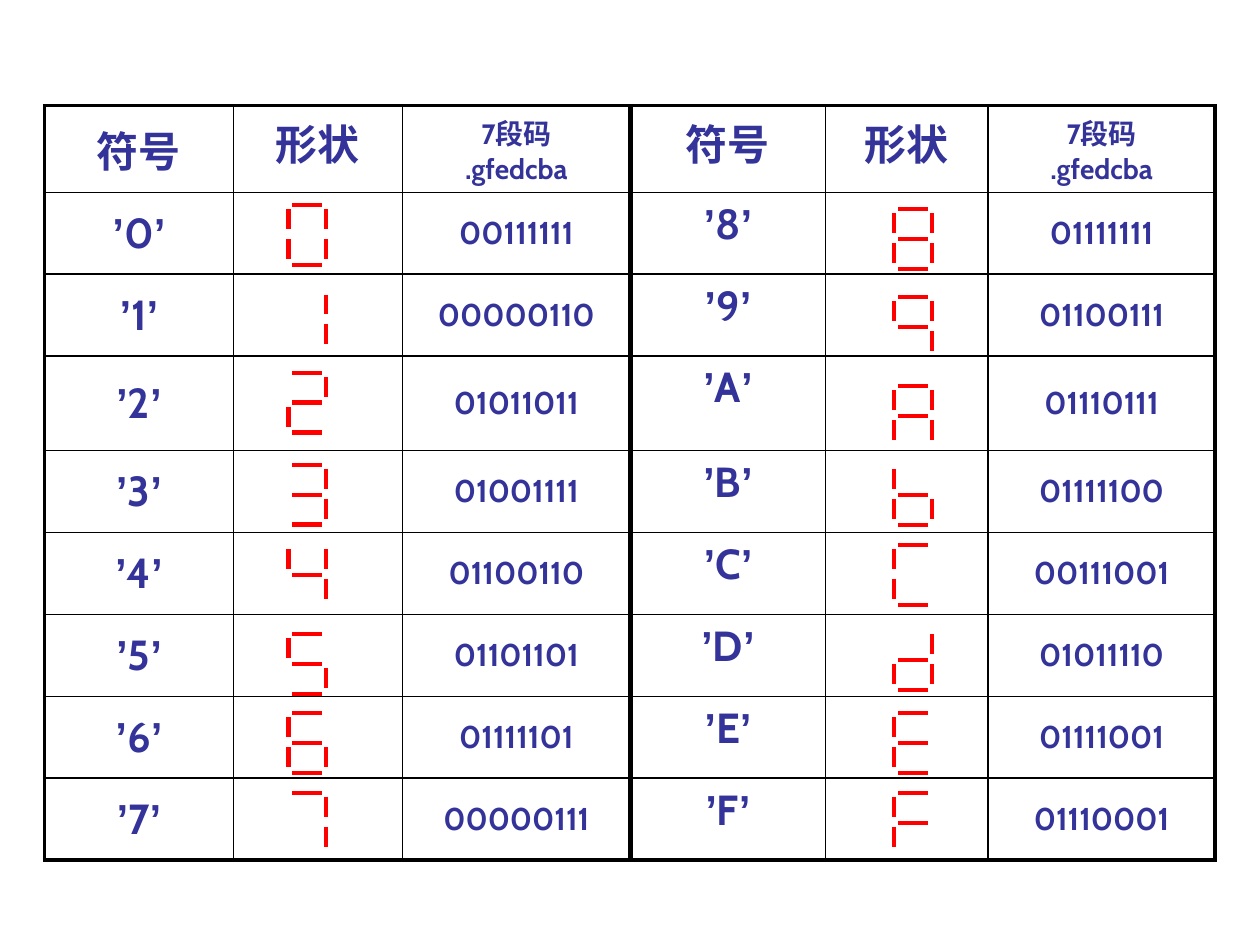
from dataclasses import dataclass

import pptx
import pptx.dml.color
import pptx.enum.shapes
import pptx.enum.text
import pptx.oxml
import pptx.oxml.ns
import pptx.util

Pt = pptx.util.Pt
RGB = pptx.dml.color.RGBColor
MID = pptx.enum.text.MSO_ANCHOR.MIDDLE
TOP = pptx.enum.text.MSO_ANCHOR.TOP

HUES = {"ink": "333399", "edge": "000000", "lamp": "FF0000"}
FONT = "Cabin"
QUOTE = "Arial"

# Table grid in points
WIDTHS = [108, 96.5, 130.3, 111.6, 92.9, 129.6]
ROW, TALL = 46.8, 54
HEIGHTS = [TALL if row == 3 else ROW for row in range(9)]

# Segments a to g in points, from the top left corner of a digit
SEGS = {
    "a": (2.2, 0, 19.4, 0),
    "b": (21.4, 2.3, 21.4, 13.7),
    "c": (21.4, 19.4, 21.4, 30.8),
    "d": (2.2, 34.2, 19.4, 34.2),
    "e": (0, 19.4, 0, 30.8),
    "f": (0, 2.3, 0, 13.7),
    "g": (2.2, 17.1, 19.4, 17.1),
}


@dataclass
class Digit:
    sign: str
    code: str  # bits in the order .gfedcba
    top: float


@dataclass
class Half:
    col: int
    left: float
    weight: float
    anchor: pptx.enum.text.MSO_ANCHOR
    digits: list[Digit]


HALVES = [
    Half(0, 164.9, 2.5, MID, [
        Digit("0", "00111111", 117.3),
        Digit("1", "00000110", 166),
        Digit("2", "01011011", 213),
        Digit("3", "01001111", 265.6),
        Digit("4", "01100110", 311.4),
        Digit("5", "01101101", 362.3),
        Digit("6", "01111101", 407.6),
        Digit("7", "00000111", 453),
    ]),
    Half(3, 511, 2.25, TOP, [
        Digit("8", "01111111", 119.6),
        Digit("9", "01100111", 169.8),
        Digit("A", "01110111", 220.5),
        Digit("B", "01111100", 265.9),
        Digit("C", "00111001", 311.3),
        Digit("D", "01011110", 360),
        Digit("E", "01111001", 407.6),
        Digit("F", "01110001", 453),
    ]),
]


def style(run, size: float, face: str = FONT) -> None:
    font = run.font
    font.name, font.size, font.bold = face, Pt(size), True
    font.color.rgb = RGB.from_string(HUES["ink"])


def write(cell, text: str, size: float, anchor) -> None:
    cell.text_frame.text = text
    cell.vertical_anchor = anchor
    for para in cell.text_frame.paragraphs:
        para.alignment = pptx.enum.text.PP_ALIGN.CENTER
        for run in para.runs:
            style(run, size)


def quote(cell, sign: str, anchor) -> None:
    cell.vertical_anchor = anchor
    para = cell.text_frame.paragraphs[0]
    para.alignment = pptx.enum.text.PP_ALIGN.CENTER
    for text, face in (("’", QUOTE), (sign, FONT), ("’", QUOTE)):
        run = para.add_run()
        run.text = text
        style(run, 24, face)


def border(cell, row: int, col: int) -> None:
    """Thick frame, thicker line between the halves, thin lines inside."""
    sides = {
        "L": {0: 2.25, 3: 3}.get(col, 1),
        "R": {2: 3, 5: 2.25}.get(col, 1),
        "T": 2.25 if row == 0 else 1,
        "B": 2.25 if row == 8 else 1,
    }
    space = pptx.oxml.ns.nsdecls("a")
    props = cell._tc.get_or_add_tcPr()
    for spot, (side, weight) in enumerate(sides.items()):
        props.insert(spot, pptx.oxml.parse_xml(
            f'<a:ln{side} {space} w="{Pt(weight)}"><a:solidFill>'
            f'<a:srgbClr val="{HUES["edge"]}"/></a:solidFill></a:ln{side}>'))


def light(slide, half: Half, digit: Digit) -> None:
    """Draw the segments whose bits are set."""
    for bit, name in zip(reversed(digit.code), SEGS):
        if bit == "0":
            continue
        x1, y1, x2, y2 = SEGS[name]
        line = slide.shapes.add_connector(
            pptx.enum.shapes.MSO_CONNECTOR.STRAIGHT,
            Pt(half.left + x1), Pt(digit.top + y1),
            Pt(half.left + x2), Pt(digit.top + y2))
        line.line.color.rgb = RGB.from_string(HUES["lamp"])
        line.line.width = Pt(half.weight)
        props = line._element.spPr
        props.append(props.makeelement(pptx.oxml.ns.qn("a:effectLst"), {}))


def main() -> None:
    deck = pptx.Presentation()
    deck.slide_width, deck.slide_height = Pt(720), Pt(540)
    slide = deck.slides.add_slide(deck.slide_layouts[6])

    # Empty grid
    frame = slide.shapes.add_table(
        len(HEIGHTS), len(WIDTHS), Pt(25.4), Pt(60.3),
        Pt(sum(WIDTHS)), Pt(sum(HEIGHTS)))
    table = frame.table
    table.first_row = table.horz_banding = False
    for col, width in zip(table.columns, WIDTHS):
        col.width = Pt(width)
    for row, height in zip(table.rows, HEIGHTS):
        row.height = Pt(height)
    for row in range(len(HEIGHTS)):
        for col in range(len(WIDTHS)):
            cell = table.cell(row, col)
            cell.fill.background()
            border(cell, row, col)

    # Headings, symbols, codes and lit digits
    for half in HALVES:
        write(table.cell(0, half.col), "符号", 24, half.anchor)
        write(table.cell(0, half.col + 1), "形状", 24, TOP)
        write(table.cell(0, half.col + 2), "7段码\n.gfedcba", 16, TOP)
        for row, digit in enumerate(half.digits, 1):
            quote(table.cell(row, half.col), digit.sign, half.anchor)
            write(table.cell(row, half.col + 2), digit.code, 18, MID)
            light(slide, half, digit)

    deck.save("out.pptx")


if __name__ == "__main__":
    main()
